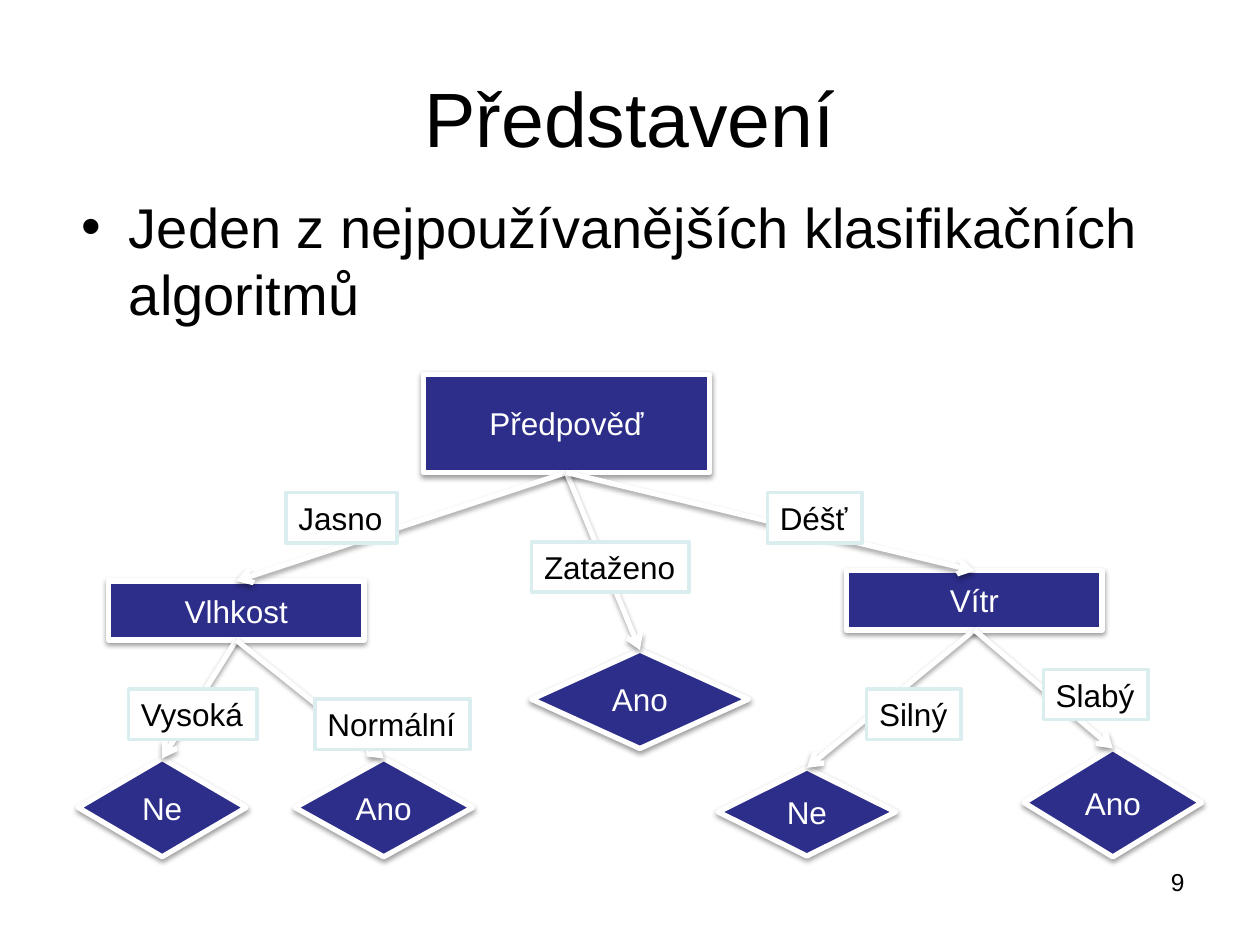
from typing import NamedTuple

from lxml.etree import SubElement
from pptx import Presentation
from pptx.dml.color import RGBColor
from pptx.enum.shapes import MSO_CONNECTOR, MSO_SHAPE
from pptx.enum.text import MSO_ANCHOR, MSO_AUTO_SIZE, PP_ALIGN
from pptx.oxml import parse_xml
from pptx.oxml.ns import nsdecls, qn
from pptx.util import Pt

NAVY, WHITE, BLACK, PALE = "2D2D8A", "FFFFFF", "000000", "DAEDEF"
FONT = "Arial"
TOP, BOTTOM = 0, 2
LABEL_HEIGHT = 28.8


class Node(NamedTuple):
    text: str
    left: float
    top: float
    width: float
    height: float
    kind: MSO_SHAPE = MSO_SHAPE.DIAMOND


class Branch(NamedTuple):
    parent: str
    child: str
    answer: str
    left: float
    top: float
    width: float


NODES = {
    "outlook": Node("Předpověď", 242, 213.8, 163.4, 56.2, MSO_SHAPE.RECTANGLE),
    "humidity": Node("Vlhkost", 62, 332, 146, 33.8, MSO_SHAPE.RECTANGLE),
    "wind": Node("Vítr", 483.8, 326.2, 146, 33.8, MSO_SHAPE.RECTANGLE),
    "overcast": Node("Ano", 303.8, 371.5, 123.8, 56.2),
    "high": Node("Ne", 44.8, 433.4, 95.8, 56.2),
    "normal": Node("Ano", 168.6, 433.4, 101.4, 56.2),
    "strong": Node("Ne", 410.4, 438.8, 101.4, 50.4),
    "weak": Node("Ano", 585.2, 427.7, 101.4, 62),
}

BRANCHES = [
    Branch("outlook", "humidity", "Jasno", 163.4, 281.5, 63.4),
    Branch("outlook", "overcast", "Zataženo", 303.8, 309.6, 90),
    Branch("outlook", "wind", "Déšť", 438.5, 281.5, 54),
    Branch("humidity", "high", "Vysoká", 73.4, 393.8, 73.4),
    Branch("humidity", "normal", "Normální", 180, 399.6, 88.6),
    Branch("wind", "strong", "Silný", 495.2, 393.8, 54),
    Branch("wind", "weak", "Slabý", 596.2, 382.5, 59.8),
]


def rgb(color: str) -> RGBColor:
    return RGBColor.from_string(color)


def write(paragraph, text: str, size: float, color: str, align=PP_ALIGN.LEFT) -> None:
    paragraph.alignment = align
    run = paragraph.add_run()
    run.text = text
    run.font.size = Pt(size)
    run.font.name = FONT
    run.font.color.rgb = rgb(color)


def add_shadow(shape) -> None:
    shape._element.spPr.append(parse_xml(
        f'<a:effectLst {nsdecls("a")}>'
        '<a:outerShdw blurRad="39370" dist="20320" dir="5400000" rotWithShape="0">'
        '<a:srgbClr val="000000"><a:alpha val="38000"/></a:srgbClr>'
        '</a:outerShdw></a:effectLst>'))


def paint(shape, fill: str, line: str, width: float) -> None:
    shape.fill.solid()
    shape.fill.fore_color.rgb = rgb(fill)
    shape.line.color.rgb = rgb(line)
    shape.line.width = Pt(width)


def add_node(slide, node: Node):
    shape = slide.shapes.add_shape(
        node.kind, Pt(node.left), Pt(node.top), Pt(node.width), Pt(node.height))
    paint(shape, NAVY, WHITE, 3)
    add_shadow(shape)
    frame = shape.text_frame
    frame.vertical_anchor = MSO_ANCHOR.MIDDLE
    write(frame.paragraphs[0], node.text, 18, WHITE, PP_ALIGN.CENTER)
    return shape


def add_arrow(slide, parent, child) -> None:
    arrow = slide.shapes.add_connector(MSO_CONNECTOR.STRAIGHT, 0, 0, 0, 0)
    arrow.begin_connect(parent, BOTTOM)
    arrow.end_connect(child, TOP)
    arrow.line.color.rgb = rgb(WHITE)
    arrow.line.width = Pt(3)
    SubElement(arrow.line._get_or_add_ln(), qn("a:tailEnd"), type="arrow")
    add_shadow(arrow)


def add_answer(slide, branch: Branch) -> None:
    label = slide.shapes.add_shape(
        MSO_SHAPE.RECTANGLE, Pt(branch.left), Pt(branch.top),
        Pt(branch.width), Pt(LABEL_HEIGHT))
    paint(label, WHITE, PALE, 2)
    label.shadow.inherit = False
    frame = label.text_frame
    frame.word_wrap = False
    frame.auto_size = MSO_AUTO_SIZE.SHAPE_TO_FIT_TEXT
    frame.vertical_anchor = MSO_ANCHOR.TOP
    write(frame.paragraphs[0], branch.answer, 18, BLACK)


def add_text(slide, left: float, top: float, width: float, height: float):
    """Add a wrapping text box and return its first paragraph."""
    box = slide.shapes.add_textbox(Pt(left), Pt(top), Pt(width), Pt(height))
    box.text_frame.word_wrap = True
    return box.text_frame.paragraphs[0]


def add_bullet(paragraph, indent: float) -> None:
    properties = paragraph._p.get_or_add_pPr()
    properties.set("marL", str(Pt(indent)))
    properties.set("indent", str(-Pt(indent)))
    SubElement(properties, qn("a:buFont"), typeface=FONT)
    SubElement(properties, qn("a:buChar"), char="•")


def main() -> None:
    presentation = Presentation()
    presentation.slide_width, presentation.slide_height = Pt(720), Pt(540)
    slide = presentation.slides.add_slide(presentation.slide_layouts[5])

    title = slide.shapes.title
    title.left, title.top, title.width, title.height = Pt(36), Pt(21.6), Pt(648), Pt(90)
    title.text_frame.vertical_anchor = MSO_ANCHOR.MIDDLE
    write(title.text_frame.paragraphs[0], "Představení", 44, BLACK, PP_ALIGN.CENTER)

    statement = add_text(slide, 39.6, 106.6, 648, 90)
    add_bullet(statement, 27)
    write(statement, "Jeden z nejpoužívanějších klasifikačních algoritmů", 32, BLACK)

    tree = {key: add_node(slide, node) for key, node in NODES.items()}
    for branch in BRANCHES:
        add_arrow(slide, tree[branch.parent], tree[branch.child])
    for branch in BRANCHES:
        add_answer(slide, branch)

    page_number = add_text(slide, 516.2, 491.8, 167.8, 37.4)
    write(page_number, "9", 14, BLACK, PP_ALIGN.RIGHT)

    presentation.save("out.pptx")


if __name__ == "__main__":
    main()
